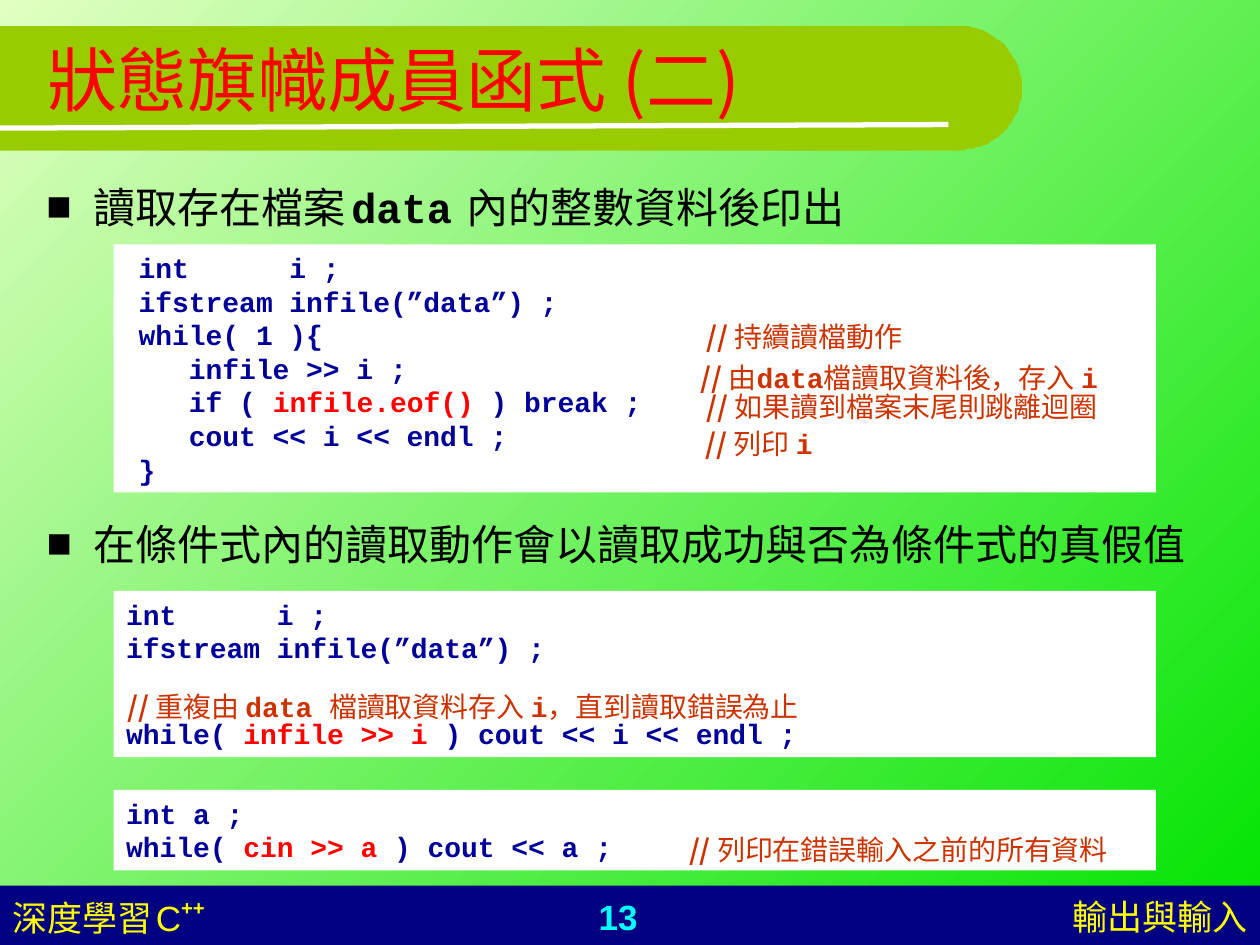
import math

from lxml import etree
from pptx import Presentation
from pptx.dml import color
from pptx.enum import shapes, text
from pptx.oxml import ns
from pptx.util import Pt

SANS, MONO, CJK = "Arial", "Courier New", "Noto Sans CJK SC"
NAVY, RED, RUST, YELLOW, BLACK, WHITE = (
    "000099", "FF0000", "CC3300", "FFFF00", "000000", "FFFFFF")


def rgb(value):
    return color.RGBColor.from_string(value)


def add_run(paragraph, words, size, face, hue, bold=False, raised=None):
    run = paragraph.add_run()
    run.text = words
    run.font.size, run.font.bold, run.font.name = Pt(size), bold, face
    run.font.color.rgb = rgb(hue)
    properties = run._r.get_or_add_rPr()
    etree.SubElement(properties, ns.qn("a:ea")).set("typeface", CJK)
    if raised:
        properties.set("baseline", str(raised * 1000))


def write_lines(frame, lines):
    """Each line is a list of runs: (words, size, face, colour[, bold[, raised]])."""
    for number, runs in enumerate(lines):
        paragraph = frame.paragraphs[0] if number == 0 else frame.add_paragraph()
        paragraph.alignment = text.PP_ALIGN.LEFT
        for run in runs:
            add_run(paragraph, *run)


def add_text(slide, box, lines, wrap=True):
    frame = slide.shapes.add_textbox(*map(Pt, box)).text_frame
    frame.word_wrap = wrap
    if not wrap:
        frame.auto_size = text.MSO_AUTO_SIZE.SHAPE_TO_FIT_TEXT
    write_lines(frame, lines)
    return frame


def paint(shape, hue):
    shape.shadow.inherit = False
    shape.fill.solid()
    shape.fill.fore_color.rgb = rgb(hue)
    shape.line.fill.background()
    return shape


def add_panel(slide, box, hue):
    return paint(slide.shapes.add_shape(
        shapes.MSO_SHAPE.RECTANGLE, *map(Pt, box)), hue)


def code(words, hue=NAVY):
    return (words, 16, MONO, hue, True)


def remark(words):
    return (words, 16, CJK, RUST)


SLASHES = ("// ", 16, CJK, RUST, True)


def draw_background(slide):
    fill = slide.background.fill
    fill.gradient()
    fill.gradient_angle = 315
    for stop, (place, hue) in zip(fill.gradient_stops,
                                  ((0, "E0FFC1"), (1, "00E400"))):
        stop.position, stop.color.rgb = place, rgb(hue)


def draw_title(slide, left, top, width, height):
    # Green band with a half-round right end
    radius = height / 2
    middle_x, middle_y = left + width - radius, top + radius
    arc = [(middle_x + radius * math.cos(math.radians(angle)),
            middle_y + radius * math.sin(math.radians(angle)))
           for angle in range(-90, 91, 3)]
    outline = slide.shapes.build_freeform(left, top, scale=Pt(1))
    outline.add_line_segments(arc + [(left, top + height)], close=True)
    paint(outline.convert_to_shape(), "99CC00")
    # White underline
    underline = slide.shapes.add_connector(
        shapes.MSO_CONNECTOR.STRAIGHT,
        Pt(left), Pt(top + 58.2), Pt(left + 542), Pt(top + 56.2))
    underline.line.color.rgb, underline.line.width = rgb(WHITE), Pt(3)
    etree.SubElement(underline._element.spPr, ns.qn("a:effectLst"))
    # Heading
    heading = add_text(slide, (left + 20, top - 15.2, 648, 90), [[
        ("狀態旗幟成員函式 ", 40, SANS, RED), ("(二)", 40, CJK, RED)]])
    heading.vertical_anchor = text.MSO_ANCHOR.MIDDLE


def draw_bullet(slide, box, runs):
    paragraph = add_text(slide, box, [[]]).paragraphs[0]
    properties = paragraph._p.get_or_add_pPr()
    properties.set("marL", str(Pt(27)))
    properties.set("indent", str(Pt(-27)))
    hue = etree.SubElement(properties, ns.qn("a:buClr"))
    etree.SubElement(hue, ns.qn("a:srgbClr")).set("val", BLACK)
    etree.SubElement(properties, ns.qn("a:buFont")).set("typeface", SANS)
    etree.SubElement(properties, ns.qn("a:buChar")).set("char", "■")
    for run in runs:
        add_run(paragraph, *run)


def draw_eof_loop(slide, left, top, width, height):
    add_panel(slide, (left, top, width, height), WHITE)
    add_text(slide, (left + 7.2, top, 301.7, height), [
        [code("int      i ;")],
        [code("ifstream infile(”data”) ;")],
        [code("while( 1 ){")],
        [code("   infile >> i ;")],
        [code("   if ( "), code("infile.eof()", RED), code(" ) break ;")],
        [code("   cout << i << endl ;")],
        [code("}")]], wrap=False)
    # Remarks beside the code: offset from the panel, width, runs
    remarks = [
        (331.9, 39.6, 131, [remark("持續讀檔動作")]),
        (328.3, 62.6, 257.8, [remark("由"), code("data", RUST),
                              remark("檔讀取資料後，存入 "), code("i", RUST)]),
        (331.9, 79.2, 242.6, [remark("如果讀到檔案末尾則跳離迴圈")]),
        (331.2, 100.8, 84.2, [remark("列印 "), code("i", RUST)])]
    for across, down, extent, runs in remarks:
        add_text(slide, (left + across, top + down, extent, 26.6),
                 [[SLASHES] + runs], wrap=False)


def draw_code_panel(slide, box, lines):
    frame = add_panel(slide, box, WHITE).text_frame
    frame.word_wrap = True
    frame.vertical_anchor = text.MSO_ANCHOR.TOP
    write_lines(frame, lines)
    return frame


def draw_condition_loop(slide, left, top, width, height):
    frame = draw_code_panel(slide, (left, top, width, height), [
        [code("int      i ;")],
        [code("ifstream infile(”data”) ;")],
        [code("while( "), code("infile >> i", RED),
         code(" ) cout << i << endl ;")]])
    # Room for the remark above the loop
    frame.paragraphs[2].space_before = Pt(30)
    add_text(slide, (left + 0.7, top + 52.6, 442, 26.6), [[
        SLASHES, remark("重複由 "), code("data ", RUST),
        remark("檔讀取資料存入 "), code("i", RUST),
        remark("，"), remark("直到讀取錯誤為止")]])


def draw_input_loop(slide, left, top, width, height):
    draw_code_panel(slide, (left, top, width, height), [
        [code("int a ;")],
        [code("while( "), code("cin >> a", RED), code(" ) cout << a ;")]])
    add_text(slide, (left + 321.8, top + 20.9, 264.2, 26.6),
             [[SLASHES, remark("列印在錯誤輸入之前的所有資料")]], wrap=False)


def draw_footer(slide, left, top, width, height):
    add_panel(slide, (left, top, width, height), "000080")
    line_top = top + 2.2
    page = add_text(slide, (left + 269.3, line_top, 167.8, 31.7),
                    [[("13", 20, SANS, "00FFFF", True)]])
    page.paragraphs[0].alignment = text.PP_ALIGN.CENTER
    chapter = add_text(slide, (left + width - 247, line_top, 247, 31.7),
                       [[("輸出與輸入", 20, SANS, YELLOW)]])
    chapter.paragraphs[0].alignment = text.PP_ALIGN.RIGHT
    add_text(slide, (left, line_top, 167.8, 31.7), [[
        ("深度學習", 20, SANS, YELLOW), (" ", 8, SANS, YELLOW),
        ("C", 20, SANS, YELLOW), ("++", 20, SANS, YELLOW, True, 46)]])


def main():
    deck = Presentation()
    deck.slide_width, deck.slide_height = Pt(720), Pt(540)
    slide = deck.slides.add_slide(deck.slide_layouts[6])
    panel_left, panel_width = 65, 595.5

    draw_background(slide)
    draw_footer(slide, 0, 506, 720, 34)
    draw_title(slide, 0, 15, 584, 70.6)
    # Reading until end of file
    draw_bullet(slide, (19.5, 100, 648, 38), [
        ("讀取存在檔案", 24, MONO, BLACK), (" ", 14, MONO, BLACK),
        ("data", 24, MONO, BLACK, True), (" ", 14, MONO, BLACK, True),
        ("內的整數資料後印出", 24, MONO, BLACK)])
    draw_eof_loop(slide, panel_left, 139.7, panel_width, 141.8)
    # Reading as the condition
    draw_bullet(slide, (19.5, 292.5, 669, 40), [
        ("在條件式內的讀取動作會以讀取成功與否為條件式的真假值",
         24, MONO, BLACK)])
    draw_condition_loop(slide, panel_left, 337.7, panel_width, 95)
    draw_input_loop(slide, panel_left, 451.4, panel_width, 46)
    deck.save("out.pptx")


if __name__ == "__main__":
    main()
